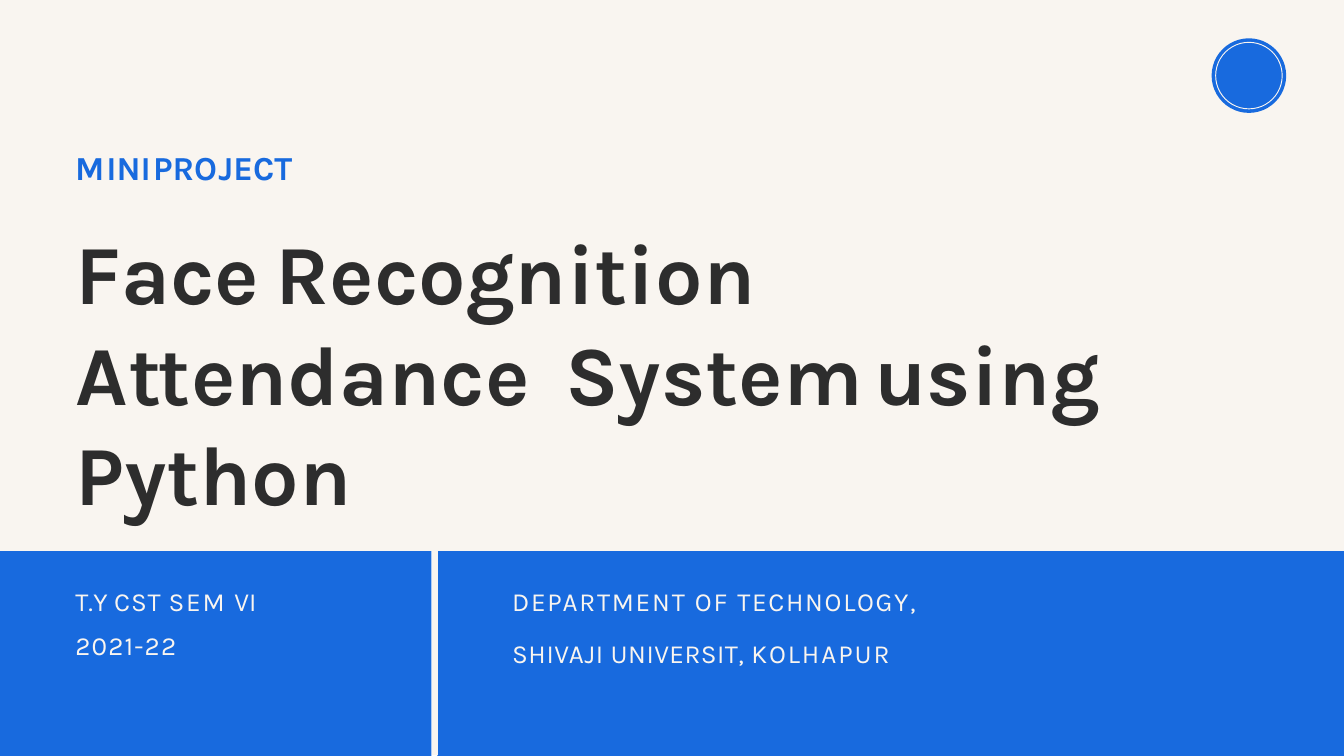
from pptx import Presentation
from pptx.dml.color import RGBColor
from pptx.enum.shapes import MSO_CONNECTOR, MSO_SHAPE
from pptx.enum.text import MSO_AUTO_SIZE
from pptx.oxml.ns import qn
from pptx.util import Inches, Pt
from lxml import etree

RECT, OVAL = MSO_SHAPE.RECTANGLE, MSO_SHAPE.OVAL
LINE = MSO_CONNECTOR.STRAIGHT
GROW = MSO_AUTO_SIZE.SHAPE_TO_FIT_TEXT

INK = {"cream": "F9F5F0", "blue": "186ADE", "dark": "2D2D2D"}
INK = {name: RGBColor.from_string(code) for name, code in INK.items()}

deck = Presentation()
deck.slide_width, deck.slide_height = Inches(20), Inches(11.25)
slide = deck.slides.add_slide(deck.slide_layouts[6])
shapes = slide.shapes


def track(text, gaps):
    """Pair each letter with its spacing; a blank follows the letter before it."""
    pairs = []
    for char in text:
        if char == " ":
            pairs[-1] = (pairs[-1][0] + char, pairs[-1][1])
        else:
            pairs.append((char, gaps[char]))
    return pairs


def write(box, paras, size, bold, ink, indent, **form):
    """Add a text box; each paragraph is a list of (text, spacing) pairs."""
    frame = shapes.add_textbox(*map(Inches, box)).text_frame
    look = {"word_wrap": True, "auto_size": GROW, "margin_left": 0,
            "margin_right": 0, "margin_top": Inches(0.01), "margin_bottom": 0}
    for key, value in look.items():
        setattr(frame, key, value)
    for i, pairs in enumerate(paras):
        para = frame.add_paragraph() if i else frame.paragraphs[0]
        para.space_before = Pt(21.9 if i else 1)
        para._p.get_or_add_pPr().set("marL", str(Inches(indent)))
        for key, value in form.items():
            setattr(para, key, value)
        for text, gap in pairs:
            if text == "\n":
                para.add_line_break()
                continue
            run = para.add_run()
            run.text = text
            font = {"name": "Karla", "size": Pt(size), "bold": bold}
            for key, value in font.items():
                setattr(run.font, key, value)
            run.font.color.rgb = INK[ink]
            run._r.get_or_add_rPr().set("spc", str(round(gap * 100)))


# Cream field, badge with its ring, and the two footer panels
parts = [
    (RECT, (0, 0, 20, 8.2), "cream", None),
    (OVAL, (18.03, 0.57, 1.11, 1.11), "blue", None),
    (OVAL, (18.09, 0.63, 0.99, 0.99), "blue", "cream"),
    (RECT, (0, 8.2, 6.42, 3.05), "blue", None),
    (RECT, (6.51, 8.2, 13.49, 3.05), "blue", None),
]
for kind, box, fill, edge in parts:
    part = shapes.add_shape(kind, *map(Inches, box))
    part.shadow.inherit = False
    part.fill.solid()
    part.fill.fore_color.rgb = INK[fill]
    if edge:
        part.line.color.rgb = INK[edge]
        part.line.width = Pt(1)
    else:
        part.line.fill.background()

# Main title, with the second word pair set wider apart
gaps = {"F": -1.4, "a": -8.2, "c": -4.1, "e": -5.4, "R": -7.5, "o": -3.9,
        "g": -9.2, "n": -6.9, "i": -4.3, "t": -4, "A": 0.8, "d": -5.6,
        "S": -7.7, "y": -4.3, "s": -6.8, "m": -10.4, "u": -6.9, "P": -3.5,
        "h": -6.9}
title = (track("Face Recognition Attendance", gaps) + [(" ", 15)]
         + track("System using Python", gaps))
write((1.11, 3.27, 16.42, 3.03), [title], 90, True, "dark", 0.01)

# Label above the title
gaps = {"M": 1.9, "I": -6.8, "N": 0, "P": -1.4, "R": -3, "O": 1.4,
        "J": -2.6, "E": -1.4, "C": -0.2, "T": -0.5}
write((1.11, 2.17, 3.47, 0.63), [track("MINI PROJECT", gaps)],
      36, True, "blue", 0.01)

# Footer texts
school = [
    [("DEPARTMENT ", 1.9), ("OF ", 2.1), ("TECHNOLOGY,", 1.8)],
    [("SHIVAJI ", 0.7), ("UNIVERSIT, ", 0.5), ("KOLHAPUR", 2.1)],
]
write((6.51, 8.7, 13.49, 1.27), school, 28, False, "cream", 1.11)
term = [("T.Y ", 0.2), ("CST ", 0.9), ("SEM ", 1.9), ("VI", 0.1),
        ("\n", 0), ("2021-22", 1.3)]
write((0, 8.51, 6.42, 1.34), [term], 28, False, "cream", 1.12,
      line_spacing=1.41)

# Divider between the panels
rule = shapes.add_connector(LINE, *map(Inches, (6.47, 8, 6.47, 11.24)))
rule.line.color.rgb = INK["cream"]
rule.line.width = Pt(6)
etree.SubElement(rule._element.spPr, qn("a:effectLst"))

deck.save("out.pptx")
